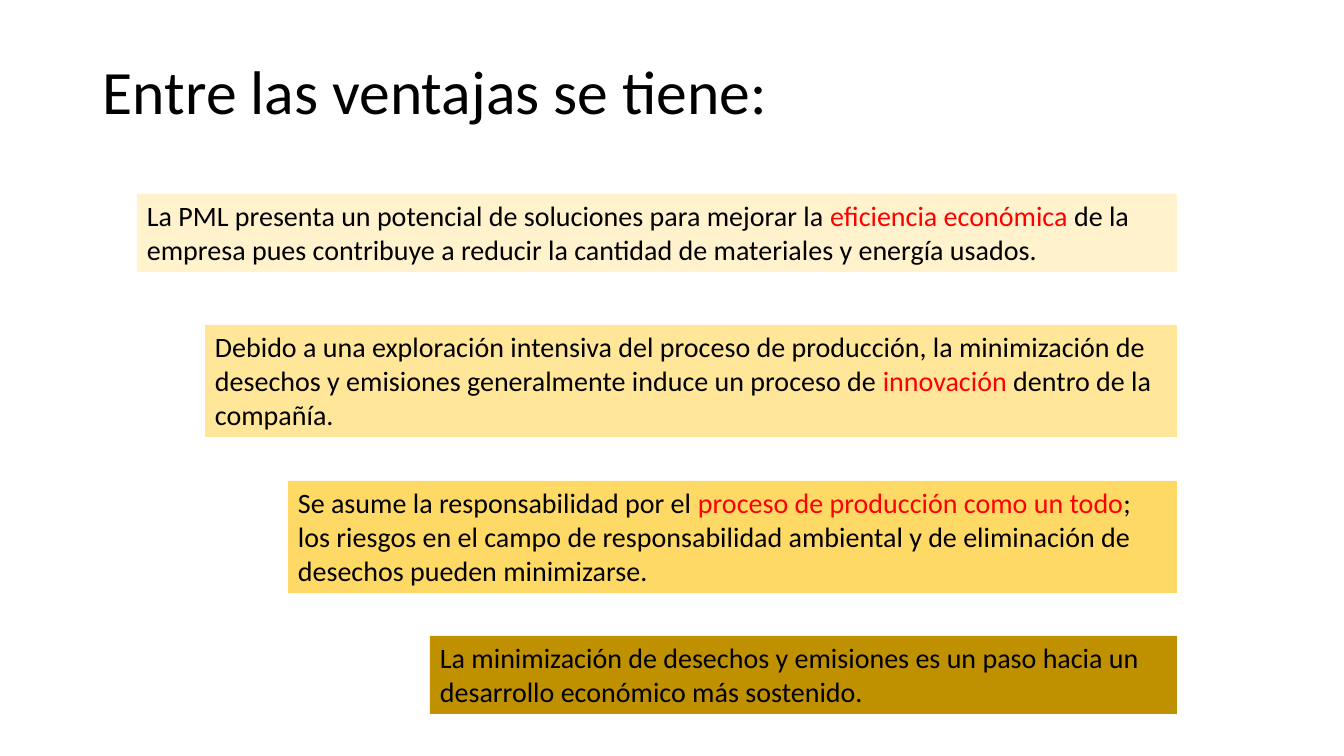
import pptx
import pptx.util
import pptx.dml.color
import pptx.enum.shapes
import pptx.enum.text

RGB = pptx.dml.color.RGBColor
BLACK = RGB(0, 0, 0)
RED = RGB(255, 0, 0)
CREAM = RGB(0xFF, 0xF2, 0xCC)
SAND = RGB(0xFF, 0xE6, 0x99)
GOLD = RGB(0xFF, 0xD9, 0x66)
OCHRE = RGB(0xBF, 0x90, 0x00)
FONT = "Calibri"
RIGHT = 1177  # shared right edge of the steps

# Left, top, height, fill, runs
STEPS = [
    (137, 194, 78, CREAM, [
        ("La PML presenta un potencial de soluciones para mejorar la ", BLACK),
        ("eficiencia económica ", RED),
        ("de la empresa pues contribuye a reducir la cantidad de "
         "materiales y energía usados.", BLACK)]),
    (205, 325, 112, SAND, [
        ("Debido a una exploración intensiva del proceso de producción, "
         "la minimización de desechos y emisiones generalmente induce "
         "un proceso de ", BLACK),
        ("innovación", RED),
        (" dentro de la compañía.", BLACK)]),
    (288, 481, 112, GOLD, [
        ("Se asume la responsabilidad por el ", BLACK),
        ("proceso de producción como un todo", RED),
        ("; los riesgos en el campo de responsabilidad ambiental y de "
         "eliminación de desechos pueden minimizarse.", BLACK)]),
    (430, 636, 78, OCHRE, [
        ("La minimización de desechos y emisiones es un paso hacia un "
         "desarrollo económico más sostenido.", BLACK)]),
]


def px(n):
    return pptx.util.Emu(round(n * 914400 / 100.8))


def write(frame, runs, size, anchor):
    frame.word_wrap = True
    frame.vertical_anchor = anchor
    para = frame.paragraphs[0]
    para.alignment = pptx.enum.text.PP_ALIGN.LEFT
    for text, color in runs:
        run = para.add_run()
        run.text = text
        run.font.name = FONT
        run.font.size = pptx.util.Pt(size)
        run.font.color.rgb = color
    return para


def add_title(slide, x, y, w, h):
    box = slide.shapes.add_textbox(px(x), px(y), px(w), px(h))
    para = write(box.text_frame, [("Entre las ventajas se tiene:", BLACK)],
                 44, pptx.enum.text.MSO_ANCHOR.MIDDLE)
    para.line_spacing = 0.9


def add_step(slide, x, y, w, h, fill, runs):
    box = slide.shapes.add_shape(pptx.enum.shapes.MSO_SHAPE.RECTANGLE,
                                 px(x), px(y), px(w), px(h))
    box.shadow.inherit = False
    box.fill.solid()
    box.fill.fore_color.rgb = fill
    box.line.fill.background()
    write(box.text_frame, runs, 20, pptx.enum.text.MSO_ANCHOR.TOP)
    box.text_frame.auto_size = pptx.enum.text.MSO_AUTO_SIZE.SHAPE_TO_FIT_TEXT


def main():
    deck = pptx.Presentation()
    deck.slide_width, deck.slide_height = px(1344), px(756)
    slide = deck.slides.add_slide(deck.slide_layouts[6])
    # Heading
    add_title(slide, 93, 40, 1159, 109)
    # Staircase of advantages
    for left, top, height, fill, runs in STEPS:
        add_step(slide, left, top, RIGHT - left, height, fill, runs)
    deck.save("out.pptx")


if __name__ == "__main__":
    main()
